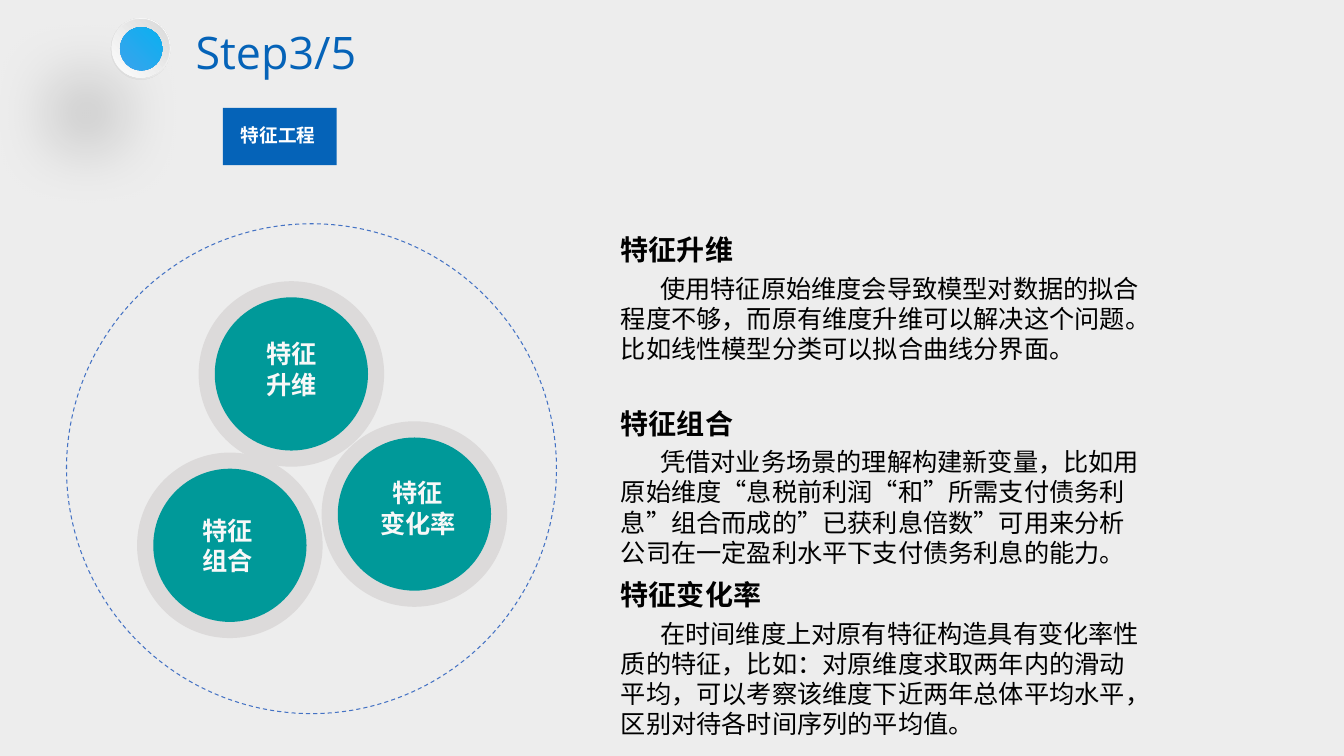
from lxml.etree import SubElement
from pptx import Presentation
from pptx.dml.color import RGBColor
from pptx.enum.dml import MSO_LINE
from pptx.enum.shapes import MSO_SHAPE
from pptx.enum.text import MSO_ANCHOR, MSO_AUTO_SIZE, PP_ALIGN
from pptx.oxml.ns import qn
from pptx.util import Inches, Pt

COLORS = {
    "background": "EDEDED", "blue": "0563B8", "orbit": "4472C4",
    "ring": "DCDADA", "disc": "009999", "label": "F8F8F8",
    "white": "FFFFFF", "black": "000000", "gray": "D9D9D9",
    "near_white": "FEFEFE", "sky": "0BB0F0", "azure": "3AA3EC",
}
CJK_FONT = "Noto Sans CJK SC"
FORMATS = {
    "title": {"size": Pt(32), "name": "Open Sans", "bold": False},
    "badge": {"size": Pt(13.3), "name": "Quicksand", "bold": True},
    "heading": {"size": Pt(20), "name": CJK_FONT, "bold": True},
    "body": {"size": Pt(18), "name": CJK_FONT, "bold": False},
    "label": {"size": Pt(18), "name": CJK_FONT, "bold": True},
}
RING_SIZE, DISC_SIZE = 1.84, 1.52

# Feature circles: centre, then label lines and label position
CIRCLE_CENTERS = [(2.28, 5.41), (4.11, 5.1), (2.89, 3.71)]
CIRCLE_LABELS = [
    (["特征", "升维"], 2.39, 3.31),
    (["特征", "组合"], 1.75, 5.06),
    (["特征", "变化率"], 3.64, 4.69),
]

# Explanations: top, heading, heading width, body, body height
SECTIONS = [
    (2.26, "特征升维", 1.32,
     "使用特征原始维度会导致模型对数据的拟合程度不够，而原有维度升维可以解决这个问题。"
     "比如线性模型分类可以拟合曲线分界面。", 1.01),
    (3.98, "特征组合", 1.32,
     "凭借对业务场景的理解构建新变量，比如用原始维度“息税前利润“和”所需支付债务利息”"
     "组合而成的”已获利息倍数”可用来分析公司在一定盈利水平下支付债务利息的能力。", 1.31),
    (5.68, "特征变化率", 1.6,
     "在时间维度上对原有特征构造具有变化率性质的特征，比如：对原维度求取两年内的滑动平均，"
     "可以考察该维度下近两年总体平均水平，区别对待各时间序列的平均值。", 1.31),
]


def rgb(color):
    return RGBColor.from_string(COLORS[color])


def add_figure(shapes, kind, left, top, width, height, color=None):
    figure = shapes.add_shape(kind, Inches(left), Inches(top), Inches(width), Inches(height))
    figure.shadow.inherit = False
    figure.line.fill.background()
    if color:
        figure.fill.solid()
        figure.fill.fore_color.rgb = rgb(color)
    else:
        figure.fill.background()
    return figure


def add_centered_circle(shapes, center, size, color):
    x, y = center
    add_figure(shapes, MSO_SHAPE.OVAL, x - size / 2, y - size / 2, size, size, color)


def fill_radial(figure, inner, outer):
    """Radial gradient that starts in the lower left corner."""
    figure.fill.gradient()
    for stop, color in zip(figure.fill.gradient_stops, (inner, outer)):
        stop.color.rgb = rgb(color)
    gradient = figure._element.spPr.find(qn("a:gradFill"))
    gradient.remove(gradient.find(qn("a:lin")))
    radial = SubElement(gradient, qn("a:path"), {"path": "circle"})
    SubElement(radial, qn("a:fillToRect"), l="100000", b="100000")


def cast_shadow(figure):
    effects = figure._element.spPr.find(qn("a:effectLst"))
    shadow = SubElement(effects, qn("a:outerShdw"), blurRad=str(Pt(50)), dist=str(Pt(60)),
                        dir=str(130 * 60000), algn="ctr", rotWithShape="0")
    color = SubElement(shadow, qn("a:srgbClr"), val=COLORS["black"])
    SubElement(color, qn("a:alpha"), val="25000")


def write(frame, lines, style, color, align=PP_ALIGN.LEFT, wrap=True, indent=0):
    frame.word_wrap = wrap
    frame.auto_size = MSO_AUTO_SIZE.SHAPE_TO_FIT_TEXT
    frame.vertical_anchor = MSO_ANCHOR.TOP
    for number, line in enumerate(lines):
        paragraph = frame.add_paragraph() if number else frame.paragraphs[0]
        paragraph.alignment = align
        if indent:
            paragraph._p.get_or_add_pPr().set("indent", str(Inches(indent)))
        run = paragraph.add_run()
        run.text = line
        run.font.color.rgb = rgb(color)
        for attribute, value in FORMATS[style].items():
            setattr(run.font, attribute, value)
        SubElement(run._r.get_or_add_rPr(), qn("a:ea"), typeface=CJK_FONT)


def add_text(shapes, left, top, width, height, lines, style, color, **options):
    box = shapes.add_textbox(Inches(left), Inches(top), Inches(width), Inches(height))
    write(box.text_frame, lines, style, color, **options)


def add_title(slide):
    title = slide.shapes.title
    title.left, title.top = Inches(1.81), Inches(0.17)
    title.width, title.height = Inches(2), Inches(0.67)
    frame = title.text_frame
    frame.margin_left = frame.margin_right = Inches(0.13)
    frame.margin_top = frame.margin_bottom = Inches(0.07)
    write(frame, ["Step3/5"], "title", "blue", wrap=False)


def add_button(slide):
    button = slide.shapes.add_group_shape().shapes
    rim = add_figure(button, MSO_SHAPE.OVAL, 1.1, 0.18, 0.59, 0.61)
    fill_radial(rim, "white", "gray")
    cast_shadow(rim)
    bevel = add_figure(button, MSO_SHAPE.OVAL, 1.11, 0.19, 0.57, 0.58)
    fill_radial(bevel, "gray", "near_white")
    core = add_figure(button, MSO_SHAPE.OVAL, 1.19, 0.27, 0.42, 0.43)
    fill_radial(core, "sky", "azure")


def add_badge(slide):
    badge = slide.shapes.add_group_shape().shapes
    add_figure(badge, MSO_SHAPE.RECTANGLE, 2.21, 1.07, 1.13, 0.57, "blue")
    add_text(badge, 2.22, 1.18, 1.26, 0.33, ["特征工程"], "badge", "white", indent=0.07)


def add_diagram(slide):
    orbit = add_figure(slide.shapes, MSO_SHAPE.OVAL, 0.66, 2.22, 4.86, 4.86)
    orbit.line.color.rgb = rgb("orbit")
    orbit.line.width = Pt(0.75)
    orbit.line.dash_style = MSO_LINE.DASH
    for center in CIRCLE_CENTERS:
        add_centered_circle(slide.shapes, center, RING_SIZE, "ring")
        add_centered_circle(slide.shapes, center, DISC_SIZE, "disc")
    for lines, left, top in CIRCLE_LABELS:
        add_text(slide.shapes, left, top, 1.01, 0.71, lines, "label", "label",
                 align=PP_ALIGN.CENTER)


def add_sections(slide):
    for top, heading, heading_width, body, body_height in SECTIONS:
        add_text(slide.shapes, 6.06, top, heading_width, 0.44, [heading],
                 "heading", "black", wrap=False)
        add_text(slide.shapes, 6.06, top + 0.4, 5.36, body_height, [body],
                 "body", "black", indent=0.39)


def main():
    deck = Presentation()
    deck.slide_width, deck.slide_height = Inches(13.33), Inches(7.5)
    slide = deck.slides.add_slide(deck.slide_layouts.get_by_name("Title Only"))
    slide.background.fill.solid()
    slide.background.fill.fore_color.rgb = rgb("background")

    # Header
    add_button(slide)
    add_badge(slide)
    add_title(slide)

    # Content
    add_diagram(slide)
    add_sections(slide)
    deck.save("out.pptx")


if __name__ == "__main__":
    main()
